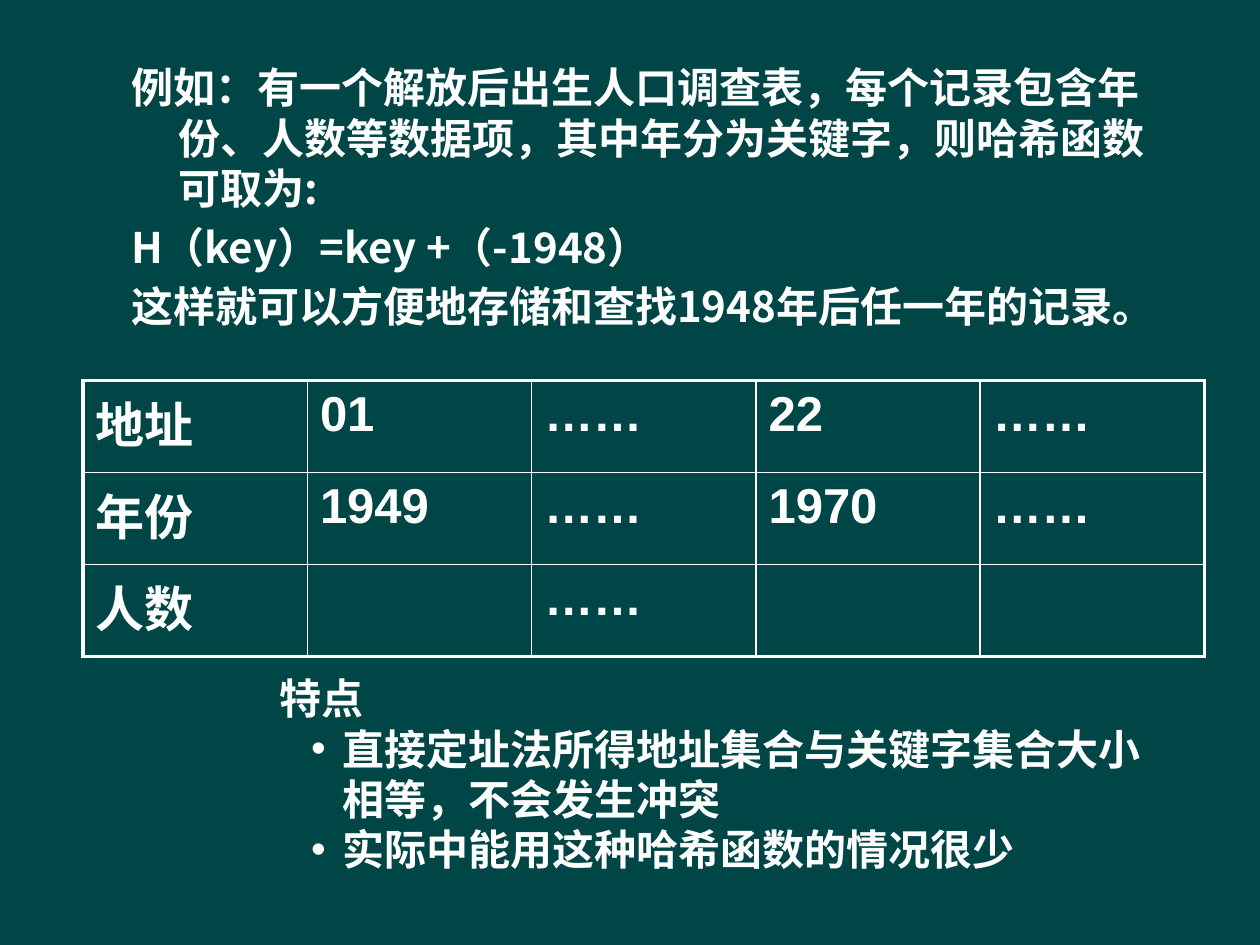
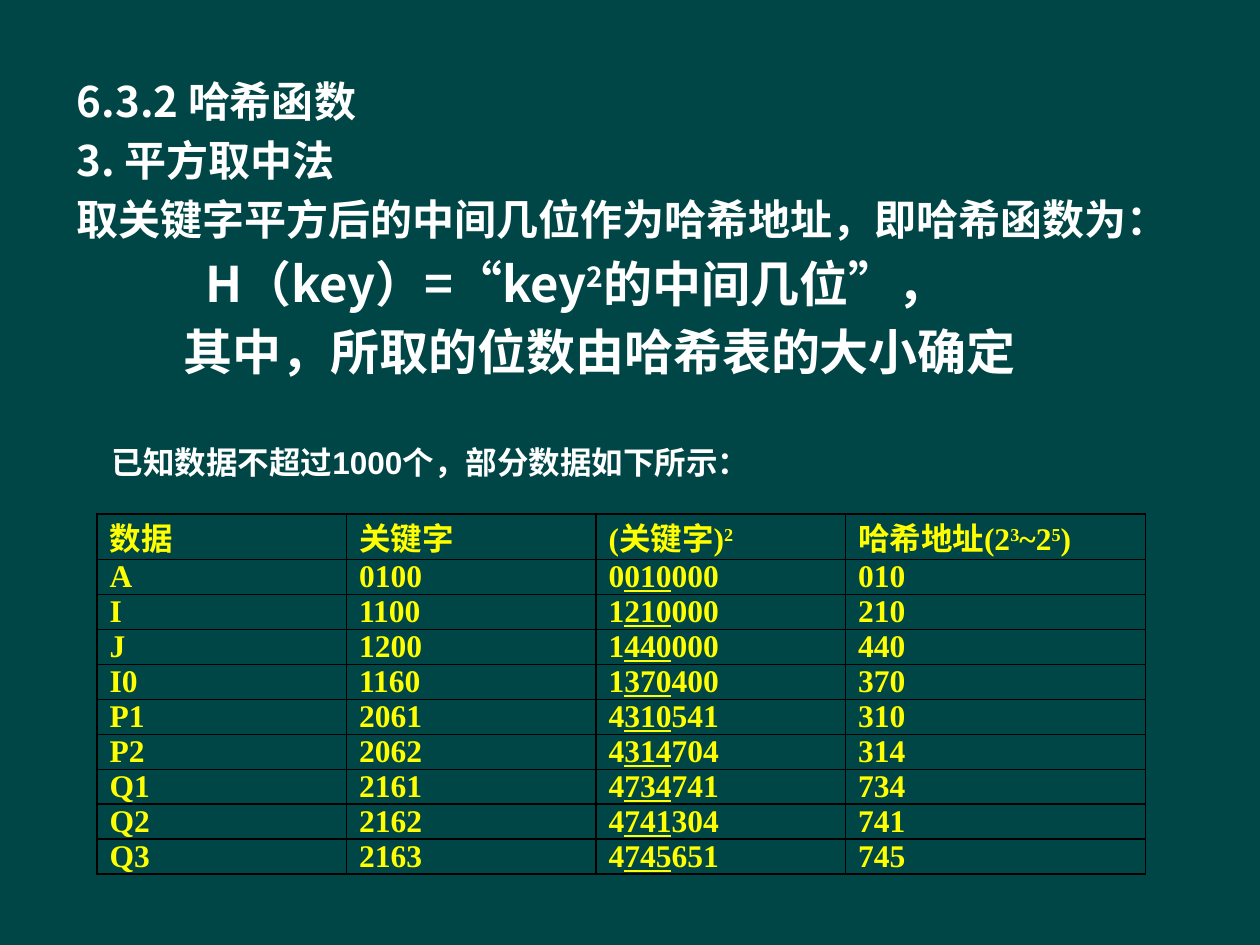
from lxml.etree import SubElement
from pptx import Presentation
from pptx.dml.color import RGBColor
from pptx.enum.text import MSO_AUTO_SIZE, PP_ALIGN
from pptx.oxml.ns import qn
from pptx.util import Inches, Pt

BACKGROUND = RGBColor(0x00, 0x46, 0x46)
WHITE = RGBColor(0xFF, 0xFF, 0xFF)
YELLOW = RGBColor(0xFF, 0xFF, 0x00)
BLACK = RGBColor(0x00, 0x00, 0x00)
CHINESE_FONT = "Noto Sans CJK SC"
LINE_HEIGHT = 1.2


def write_paragraph(frame, text, size=24, font=CHINESE_FONT, color=WHITE, margin=0, indent=0,
                    bullet=None, spaced=False, exact=True, align=PP_ALIGN.LEFT, mark="superscript"):
    """Add a paragraph; the parts of text between bars are superscript or underlined."""
    first = not frame.text
    paragraph = frame.paragraphs[0] if first else frame.add_paragraph()
    properties = paragraph._p.get_or_add_pPr()
    properties.set("marL", str(Inches(margin)))
    properties.set("indent", str(Inches(indent)))
    if bullet:
        SubElement(properties, qn("a:buFont"), typeface="Arial")
        SubElement(properties, qn("a:buChar"), char=bullet)
    else:
        SubElement(properties, qn("a:buNone"))
    paragraph.alignment = align
    paragraph.space_before = Pt(0 if first or not spaced else 0.2 * size)
    if exact:
        paragraph.line_spacing = Pt(LINE_HEIGHT * size)
    for index, part in enumerate(text.split("|")):
        if not part:
            continue
        run = paragraph.add_run()
        run.text = part
        run.font.size = Pt(size)
        run.font.bold = True
        run.font.name = font
        run.font.color.rgb = color
        marked = index % 2 == 1
        if marked and mark == "underline":
            run.font.underline = True
        run_properties = run.font._element
        if marked and mark == "superscript":
            run_properties.set("baseline", "30000")
        run_properties.find(qn("a:latin")).addnext(
            run_properties.makeelement(qn("a:ea"), {"typeface": CHINESE_FONT}))


def style_cell(cell, color, widths):
    """Draw the left, right, top and bottom borders and leave the cell unfilled."""
    properties = cell._tc.get_or_add_tcPr()
    for side, width in zip("LRTB", widths):
        line = SubElement(properties, qn(f"a:ln{side}"), w=str(Pt(width)))
        fill = SubElement(line, qn("a:solidFill"))
        SubElement(fill, qn("a:srgbClr"), val=str(color))
    cell.fill.background()


presentation = Presentation()
presentation.slide_width = Inches(10)
presentation.slide_height = Inches(7.5)
presentation.slide_master.background.fill.solid()
presentation.slide_master.background.fill.fore_color.rgb = BACKGROUND

# Each slide: body, table and note positions, column widths and row heights
slide_plans = [
    ((0.94, 0.41, 8.51, 2.52), (0.66, 3.02), (0.62, 5.26, 8.79, 2.2),
     [1.78] * 5, [0.73] * 3),
    ((0.51, 0.52, 9.13, 2.84), (0.77, 4.08), (0.79, 3.44, 5.43, 0.4),
     [1.98] * 3 + [2.38], [0.36] + [0.27] * 9),
]
bodies, tables, notes = [], [], []
for body_place, table_place, note_place, column_widths, row_heights in slide_plans:
    slide = presentation.slides.add_slide(presentation.slide_layouts[1])
    title = slide.shapes.title._element
    title.getparent().remove(title)

    body = slide.placeholders[1]
    body.left, body.top, body.width, body.height = map(Inches, body_place)

    table = slide.shapes.add_table(
        len(row_heights), len(column_widths), *map(Inches, table_place),
        Inches(sum(column_widths)), Inches(sum(row_heights))).table
    table.first_row = False
    table.horz_banding = False
    for column, width in zip(table.columns, column_widths):
        column.width = Inches(width)
    for row, height in zip(table.rows, row_heights):
        row.height = Inches(height)

    note = slide.shapes.add_textbox(*map(Inches, note_place))
    for frame in (body.text_frame, note.text_frame):
        frame.word_wrap = True
        frame.auto_size = MSO_AUTO_SIZE.NONE
        frame.margin_top = Inches(0.08)
    bodies.append(body.text_frame)
    tables.append(table)
    notes.append(note.text_frame)

# Slide 1: direct addressing example
for text in [
    "例如：有一个解放后出生人口调查表，每个记录包含年份、人数等数据项，其中年分为关键字，则哈希函数可取为:",
    "H（key）=key +（-1948）",
    "这样就可以方便地存储和查找1948年后任一年的记录。",
]:
    write_paragraph(bodies[0], text, margin=0.38, indent=-0.38, spaced=True)

census_rows = [
    ["地址", "01", "……", "22", "……"],
    ["年份", "1949", "……", "1970", "……"],
    ["人数", "", "……", "", ""],
]
OUTER, INNER = 2.25, 1
for row_index, values in enumerate(census_rows):
    for column_index, value in enumerate(values):
        cell = tables[0].cell(row_index, column_index)
        at_edges = (column_index == 0, column_index == len(values) - 1,
                    row_index == 0, row_index == len(census_rows) - 1)
        style_cell(cell, WHITE, [OUTER if at_edge else INNER for at_edge in at_edges])
        if value:
            write_paragraph(cell.text_frame, value, size=28, font="Arial", exact=False)

write_paragraph(notes[0], "特点", font="Arial", margin=1.5)
for text in ["直接定址法所得地址集合与关键字集合大小相等，不会发生冲突",
             "实际中能用这种哈希函数的情况很少"]:
    write_paragraph(notes[0], text, font="Arial", margin=2, indent=-0.25, bullet="•")

# Slide 2: mid-square method
for text in ["6.3.2 哈希函数", "3. 平方取中法",
             "取关键字平方后的中间几位作为哈希地址，即哈希函数为："]:
    write_paragraph(bodies[1], text, spaced=True)
write_paragraph(bodies[1], "H（key）=“key|2|的中间几位”，", size=28, margin=0.85, indent=0.17,
                spaced=True)
write_paragraph(bodies[1], "其中，所取的位数由哈希表的大小确定", size=28, margin=0.85, spaced=True)

key_squares = [
    ("A", "0100", "0010000"), ("I", "1100", "1210000"), ("J", "1200", "1440000"),
    ("I0", "1160", "1370400"), ("P1", "2061", "4310541"), ("P2", "2062", "4314704"),
    ("Q1", "2161", "4734741"), ("Q2", "2162", "4741304"), ("Q3", "2163", "4745651"),
]
hash_rows = [["数据", "关键字", "(关键字)|2|", "哈希地址(2|3|~2|5|)"]]
for name, key, square in key_squares:
    address = square[1:4]
    hash_rows.append([name, key, f"{square[0]}|{address}|{square[4:]}", address])
for row_index, values in enumerate(hash_rows):
    for column_index, value in enumerate(values):
        cell = tables[1].cell(row_index, column_index)
        cell.margin_top = cell.margin_bottom = 0
        style_cell(cell, BLACK, [1] * 4)
        write_paragraph(cell.text_frame, value, size=18, font="Times New Roman", color=YELLOW,
                        exact=False, align=PP_ALIGN.JUSTIFY,
                        mark="underline" if row_index else "superscript")

write_paragraph(notes[1], "已知数据不超过1000个，部分数据如下所示：", size=18, font="Arial")

presentation.save("out.pptx")
